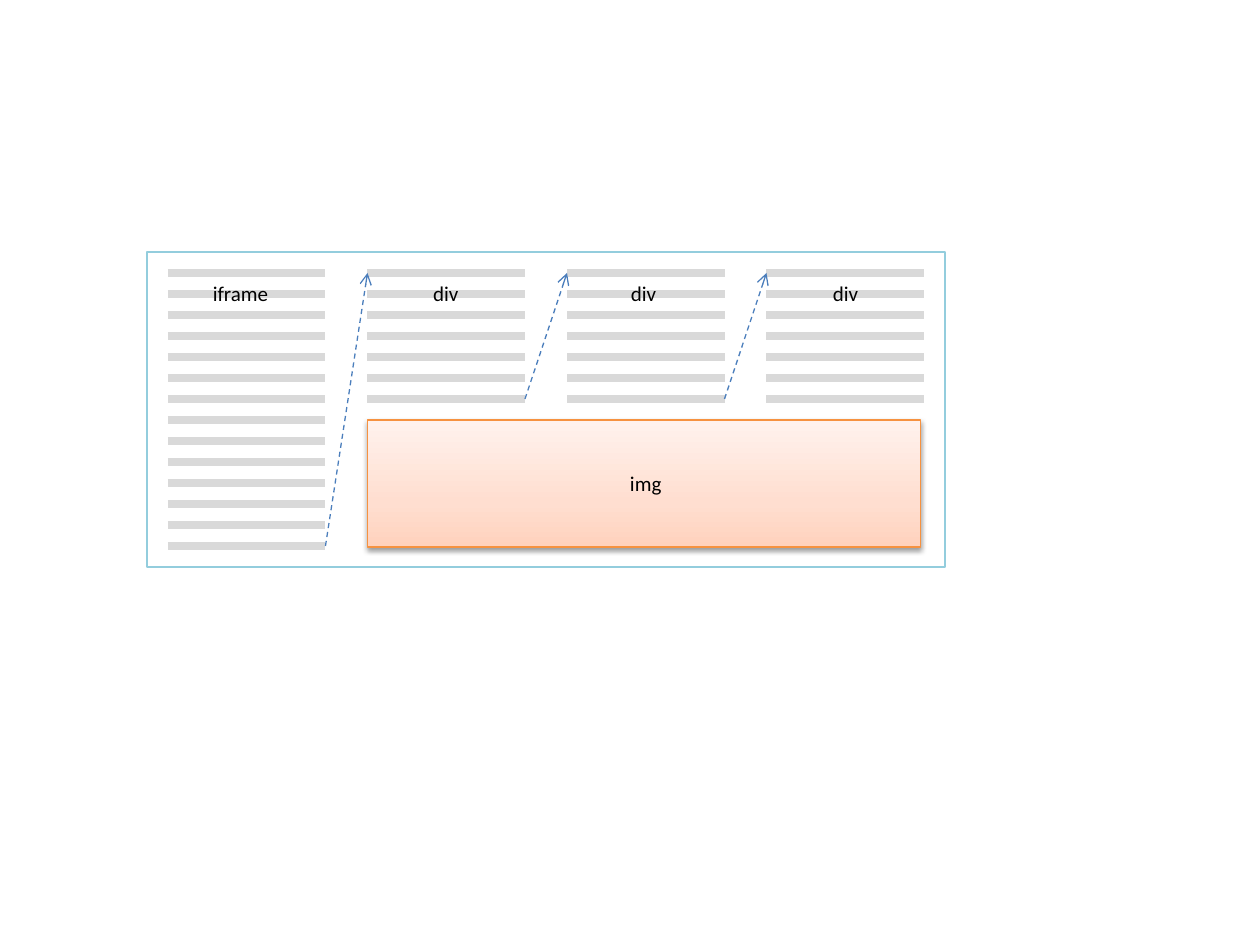
from pptx import Presentation
from pptx.dml.color import RGBColor
from pptx.enum.dml import MSO_LINE
from pptx.enum.shapes import MSO_CONNECTOR, MSO_SHAPE
from pptx.enum.text import MSO_AUTO_SIZE
from pptx.oxml import parse_xml
from pptx.oxml.ns import nsdecls
from pptx.util import Cm, Pt

STRAIGHT = MSO_CONNECTOR.STRAIGHT
RECT = MSO_SHAPE.RECTANGLE
DASH = MSO_LINE.DASH
FIT_SHAPE = MSO_AUTO_SIZE.SHAPE_TO_FIT_TEXT

UNIT = 2.54 / 6
COLUMN_X = [8 + 9.5 * i for i in range(4)]
COLUMN_ROWS = [14, 7, 7, 7]
COLUMN_WIDTH = 7.5
TOP = 13


def rgb(color):
    return RGBColor.from_string(color)


def grid(*values):
    return [Cm(v * UNIT) for v in values]


def write(tf, text, font="Calibri", size=12, color="000000"):
    r = tf.paragraphs[0].add_run()
    r.text = text
    r.font.name = font
    r.font.size = Pt(size)
    r.font.color.rgb = rgb(color)


class Diagram:
    """Draws styled elements on the current slide, measured in grid units."""

    bar = "D9D9D9"
    arrow_color = "4B7EBC"
    frame_color = "93CDDD"
    image_line = "F69240"
    image_stops = [(0, "FFD2BD"), (35, "FFDED0"), (100, "FFF2ED")]

    def __init__(self, s):
        self.s = s

    def line(self, shapes, start, end, color, width):
        c = shapes.add_connector(STRAIGHT, *grid(*start, *end))
        c.line.color.rgb = rgb(color)
        c.line.width = Pt(width)
        c._element.spPr.append(parse_xml(f"<a:effectLst {nsdecls('a')}/>"))
        return c

    def column(self, x, rows):
        group = self.s.shapes.add_group_shape()
        for y in range(TOP, TOP + rows):
            self.line(group.shapes, (x, y), (x + COLUMN_WIDTH, y), self.bar, 4.5)

    def arrow(self, start, end):
        c = self.line(self.s.shapes, start, end, self.arrow_color, 0.75)
        c.line.dash_style = DASH
        c.line._get_or_add_ln().append(
            parse_xml(f'<a:tailEnd {nsdecls("a")} type="arrow"/>'))

    def box(self, x, y, w, h, color, width):
        sp = self.s.shapes.add_shape(RECT, *grid(x, y, w, h))
        sp.fill.background()
        sp.line.color.rgb = rgb(color)
        sp.line.width = Pt(width)
        sp.shadow.inherit = False
        return sp

    def frame(self, x, y, w, h):
        self.box(x, y, w, h, self.frame_color, 1.5)

    def image_area(self, x, y, w, h):
        sp = self.box(x, y, w, h, self.image_line, 0.75)
        sp.fill.gradient()
        sp.fill.gradient_angle = 90
        gs_list = sp._element.spPr.find(".//{*}gsLst")
        gs_list.clear()
        for pos, color in self.image_stops:
            gs_list.append(parse_xml(
                f'<a:gs {nsdecls("a")} pos="{pos * 1000}">'
                f'<a:srgbClr val="{color}"/></a:gs>'))
        sp._element.spPr.find("{*}effectLst").append(parse_xml(
            f'<a:outerShdw {nsdecls("a")} blurRad="40000" dist="20000" '
            'dir="5400000" rotWithShape="0"><a:srgbClr val="000000">'
            '<a:alpha val="38000"/></a:srgbClr></a:outerShdw>'))

    def label(self, text, x, y, w):
        tf = self.s.shapes.add_textbox(Cm(x), Cm(y), Cm(w), Cm(0.77)).text_frame
        tf.word_wrap = False
        tf.auto_size = FIT_SHAPE
        write(tf, text)


def main():
    prs = Presentation()
    prs.slide_width, prs.slide_height = Cm(25.4), Cm(19.05)
    d = Diagram(prs.slides.add_slide(prs.slide_layouts[6]))

    d.frame(7, 12, 38, 15)
    for x, rows in zip(COLUMN_X, COLUMN_ROWS):
        d.column(x, rows)
    d.image_area(COLUMN_X[1], 20, 26.35, 6.05)

    for x, rows, next_x in zip(COLUMN_X, COLUMN_ROWS, COLUMN_X[1:]):
        d.arrow((x + COLUMN_WIDTH, TOP + rows - 1), (next_x, TOP))

    for text, x, y, w in [
        ("iframe", 4.04, 5.54, 1.65),
        ("div", 8.48, 5.54, 1.02),
        ("div", 12.47, 5.54, 1.02),
        ("div", 16.54, 5.54, 1.02),
        ("img", 12.45, 9.37, 1.14),
    ]:
        d.label(text, x, y, w)

    prs.save("out.pptx")


if __name__ == "__main__":
    main()
